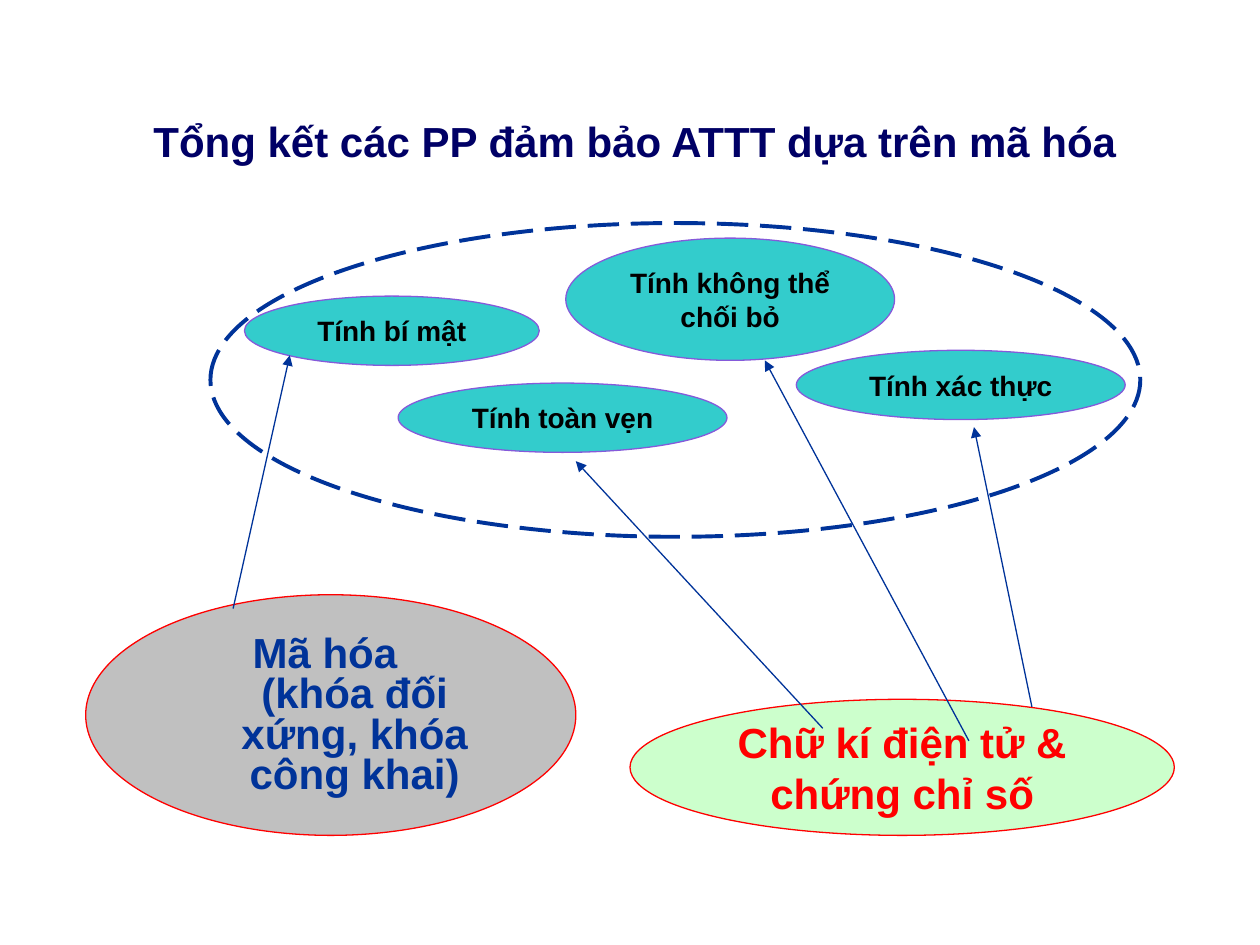
from lxml import etree
from pptx import Presentation
from pptx.dml.color import RGBColor
from pptx.enum.dml import MSO_LINE
from pptx.enum.shapes import MSO_CONNECTOR, MSO_SHAPE
from pptx.enum.text import MSO_ANCHOR, MSO_AUTO_SIZE, PP_ALIGN
from pptx.oxml.ns import qn
from pptx.util import Inches, Pt

COLORS = {
    "title": "000066",
    "teal": "33CCCC",
    "purple": "855ADA",
    "black": "000000",
    "navy": "003399",
    "green": "CCFFCC",
    "red": "FF0000",
    "gray": "C0C0C0",
}


def write(frame, text, size, color, anchor):
    """Fill a text frame with one bold, centred Arial paragraph."""
    frame.word_wrap = True
    frame.vertical_anchor = anchor
    para = frame.paragraphs[0]
    para.text = text
    para.alignment = PP_ALIGN.CENTER
    para.font.name = "Arial"
    para.font.size = Pt(size)
    para.font.bold = True
    para.font.color.rgb = RGBColor.from_string(COLORS[color])
    return para


def add_ellipse(bounds, fill, outline, width=0.75):
    ellipse = page.shapes.add_shape(MSO_SHAPE.OVAL, *map(Inches, bounds))
    ellipse.shadow.inherit = False
    if fill:
        ellipse.fill.solid()
        ellipse.fill.fore_color.rgb = RGBColor.from_string(COLORS[fill])
    else:
        ellipse.fill.background()
    ellipse.line.color.rgb = RGBColor.from_string(COLORS[outline])
    ellipse.line.width = Pt(width)
    return ellipse


deck = Presentation()
deck.slide_width, deck.slide_height = Inches(10), Inches(7.5)
page = deck.slides.add_slide(deck.slide_layouts[5])

title = page.shapes.title
title.left, title.top = Inches(0.25), Inches(0.83)
title.width, title.height = Inches(9.58), Inches(0.57)
write(title.text_frame, "Tổng kết các PP đảm bảo ATTT dựa trên mã hóa",
      24, "title", MSO_ANCHOR.MIDDLE)

# Security properties inside the dashed boundary
boundary = add_ellipse((1.67, 1.77, 7.38, 2.49), None, "navy", 2.25)
boundary.line.dash_style = MSO_LINE.LONG_DASH

properties = [
    ("Tính bí mật", (1.94, 2.35, 2.34, 0.55)),
    ("Tính toàn vẹn", (3.16, 3.04, 2.61, 0.55)),
    ("Tính không thể chối bỏ", (4.49, 1.89, 2.61, 0.97)),
    ("Tính xác thực", (6.32, 2.78, 2.61, 0.55)),
]
for text, bounds in properties:
    ellipse = add_ellipse(bounds, "teal", "purple")
    write(ellipse.text_frame, text, 16, "black", MSO_ANCHOR.MIDDLE)
    ellipse.text_frame.auto_size = MSO_AUTO_SIZE.SHAPE_TO_FIT_TEXT

# Methods that provide them
signature = add_ellipse((5, 5.55, 4.32, 1.08), "green", "red")
write(signature.text_frame, "Chữ kí điện tử & chứng chỉ số",
      24, "red", MSO_ANCHOR.MIDDLE)
signature.text_frame.auto_size = MSO_AUTO_SIZE.SHAPE_TO_FIT_TEXT

encryption = add_ellipse((0.68, 4.72, 3.89, 1.91), "gray", "red")
para = write(encryption.text_frame, "Mã hóa \v(khóa đối xứng, khóa công khai)",
             24, "navy", MSO_ANCHOR.TOP)
para.line_spacing = 0.8
indents = para._p.get_or_add_pPr()
indents.set("marL", str(Inches(0.38)))
indents.set("indent", str(Inches(-0.38)))

# Arrows from each method to the properties it ensures
arrows = [
    (6.53, 5.78, 4.57, 3.66),
    (7.69, 5.88, 6.07, 2.86),
    (1.85, 4.83, 2.3, 2.82),
    (8.19, 5.61, 7.73, 3.39),
]
for ends in arrows:
    arrow = page.shapes.add_connector(MSO_CONNECTOR.STRAIGHT, *map(Inches, ends))
    arrow.line.color.rgb = RGBColor.from_string(COLORS["navy"])
    arrow.line.width = Pt(0.75)
    etree.SubElement(arrow.line._get_or_add_ln(), qn("a:tailEnd"), type="triangle")
    etree.SubElement(arrow._element.spPr, qn("a:effectLst"))

deck.save("out.pptx")
